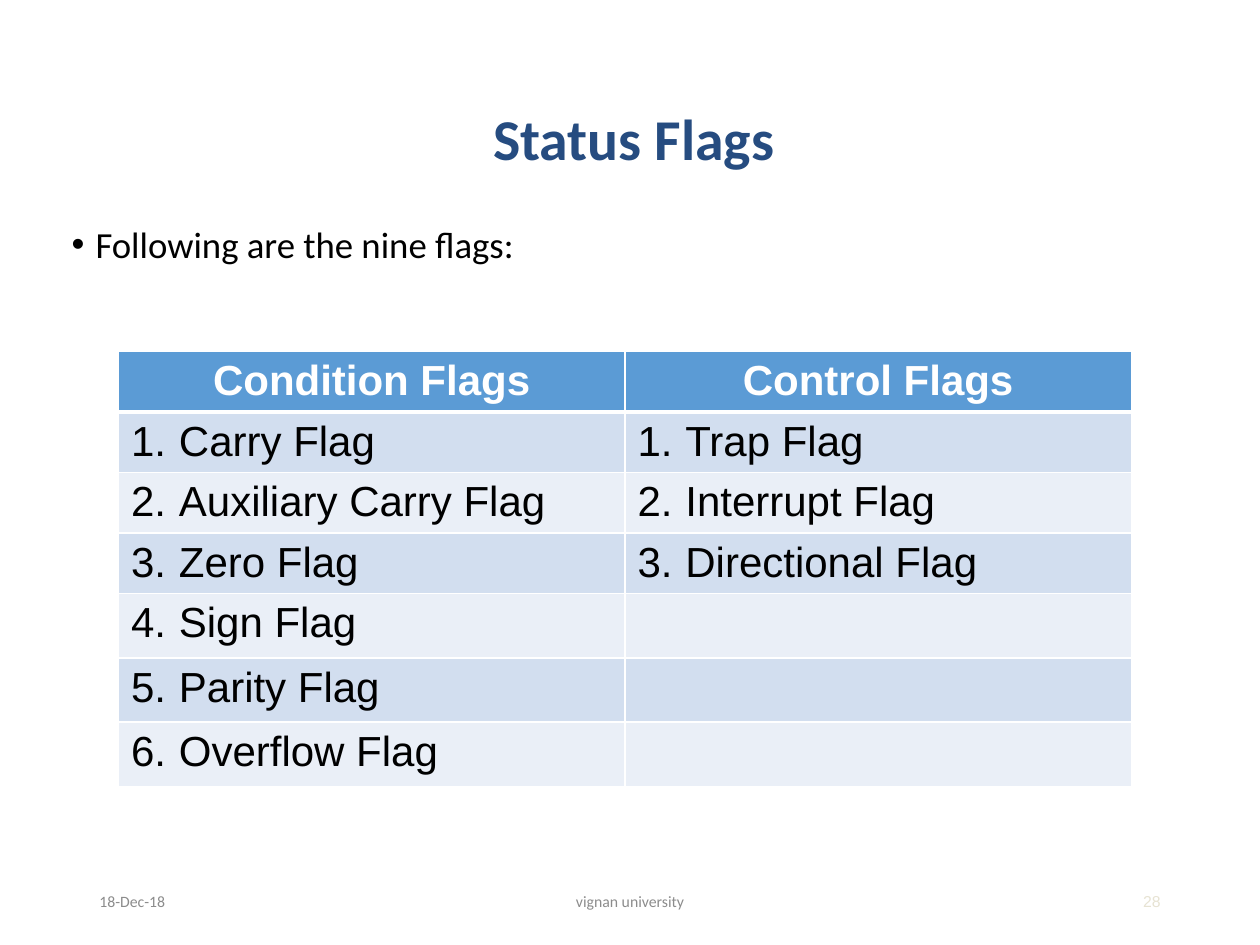
from lxml.etree import SubElement
from pptx import Presentation
from pptx.dml.color import RGBColor as Rgb
from pptx.enum.text import MSO_ANCHOR as Anchor, PP_ALIGN as Align
from pptx.oxml.ns import qn
from pptx.util import Emu, Inches, Pt

COLORS = {
    "title": "264C80", "text": "000000", "footer": "8C8C8C", "number": "E7E3D3",
    "header": "5B9BD5", "odd": "D2DEEF", "even": "EAEFF7", "white": "FFFFFF",
}
COLUMNS, ROWS = 100, 75  # page grid, one unit is a tenth of an inch


class SlideBuilder:
    """Holds the deck, the current page and the text style."""

    def __init__(self, width, height):
        self.deck = Presentation()
        self.deck.slide_width, self.deck.slide_height = Inches(width), Inches(height)
        self.page = self.deck.slides.add_slide(self.deck.slide_layouts[6])

    def area(self, left, top, width, height):
        unit_x = self.deck.slide_width / COLUMNS
        unit_y = self.deck.slide_height / ROWS
        return [Emu(round(value * unit))
                for value, unit in zip((left, top, width, height), (unit_x, unit_y) * 2)]

    def add_span(self, para, text, color, size, name="Calibri", bold=False, align=Align.LEFT):
        para.alignment = align
        span = para.add_run()
        span.text = text
        for key, value in {"size": Pt(size), "name": name, "bold": bold}.items():
            setattr(span.font, key, value)
        span.font.color.rgb = Rgb.from_string(COLORS[color])

    def bullet(self, para, indent, tag, **values):
        props = para._p.get_or_add_pPr()
        props.set("marL", str(Inches(indent)))
        props.set("indent", str(-Inches(indent)))
        SubElement(props, qn("a:buFont"), typeface="Arial")
        SubElement(props, qn(tag), **values)

    def text(self, place, text, anchor=Anchor.MIDDLE, mark=None, spacing=None, **style):
        box = self.page.shapes.add_textbox(*self.area(*place))
        frame = box.text_frame
        frame.word_wrap, frame.vertical_anchor = True, anchor
        para = frame.paragraphs[0]
        if mark:
            self.bullet(para, 0.19, "a:buChar", char=mark)
        if spacing:
            para.line_spacing = spacing
        self.add_span(para, text, **style)
        return box

    def borders(self, cell, **widths):
        props = cell._tc.get_or_add_tcPr()
        for side in "LRTB":
            line = SubElement(props, qn(f"a:ln{side}"), w=str(Pt(widths.get(side, 1))))
            fill = SubElement(line, qn("a:solidFill"))
            SubElement(fill, qn("a:srgbClr"), val=COLORS["white"])

    def cell(self, cell, fill, **widths):
        for side, inset in {"left": 0.1, "right": 0.1, "top": 0.05, "bottom": 0.03}.items():
            setattr(cell, f"margin_{side}", Inches(inset))
        self.borders(cell, **widths)
        cell.fill.solid()
        cell.fill.fore_color.rgb = Rgb.from_string(COLORS[fill])
        return cell.text_frame.paragraphs[0]

    def table(self, place, lists, heights):
        """One column per heading, with its numbered entries below."""
        grid = self.page.shapes.add_table(len(heights), len(lists), *self.area(*place)).table
        for row, height in zip(grid.rows, heights):
            row.height = Inches(height)
        for column, (heading, entries) in enumerate(lists.items()):
            para = self.cell(grid.cell(0, column), "header", B=3)
            self.add_span(para, heading, "white", 24, "Arial", True, Align.CENTER)
            for number in range(1, len(heights)):
                widths = {"T": 3} if number == 1 else {}
                para = self.cell(grid.cell(number, column),
                                 "odd" if number % 2 else "even", **widths)
                if number <= len(entries):
                    self.bullet(para, 0.38, "a:buAutoNum",
                                type="arabicPeriod", startAt=str(number))
                    self.add_span(para, entries[number - 1], "text", 24, "Arial")


def main():
    slide = SlideBuilder(10, 7.5)

    # Title and lead-in
    title = slide.text((6.9, 4, 86.2, 14.5), "Status Flags", spacing=0.9,
                       color="title", size=33, bold=True, align=Align.CENTER)
    title.text_frame.margin_left = Inches(0.16)
    slide.text((4.7, 17.5, 90.3, 8.3), "Following are the nine flags:",
               anchor=Anchor.TOP, mark="•", spacing=0.9, color="text", size=21)

    # Flags table
    flags = {
        "Condition Flags": ["Carry Flag", "Auxiliary Carry Flag", "Zero Flag",
                            "Sign Flag", "Parity Flag", "Overflow Flag"],
        "Control Flags": ["Trap Flag", "Interrupt Flag", "Directional Flag"],
    }
    slide.table((9.4, 27.9, 80.4, 34), flags, [0.47] * 4 + [0.51] * 3)

    # Footer
    footer = {"color": "footer", "size": 9}
    slide.text((6.9, 69.5, 22.5, 4), "18-Dec-18", **footer)
    slide.text((33.1, 69.5, 33.8, 4), "vignan university", align=Align.CENTER, **footer)
    slide.text((70.6, 69.5, 22.5, 4), "28", color="number", size=9,
               name="Arial", align=Align.RIGHT)

    slide.deck.save("out.pptx")


if __name__ == "__main__":
    main()
